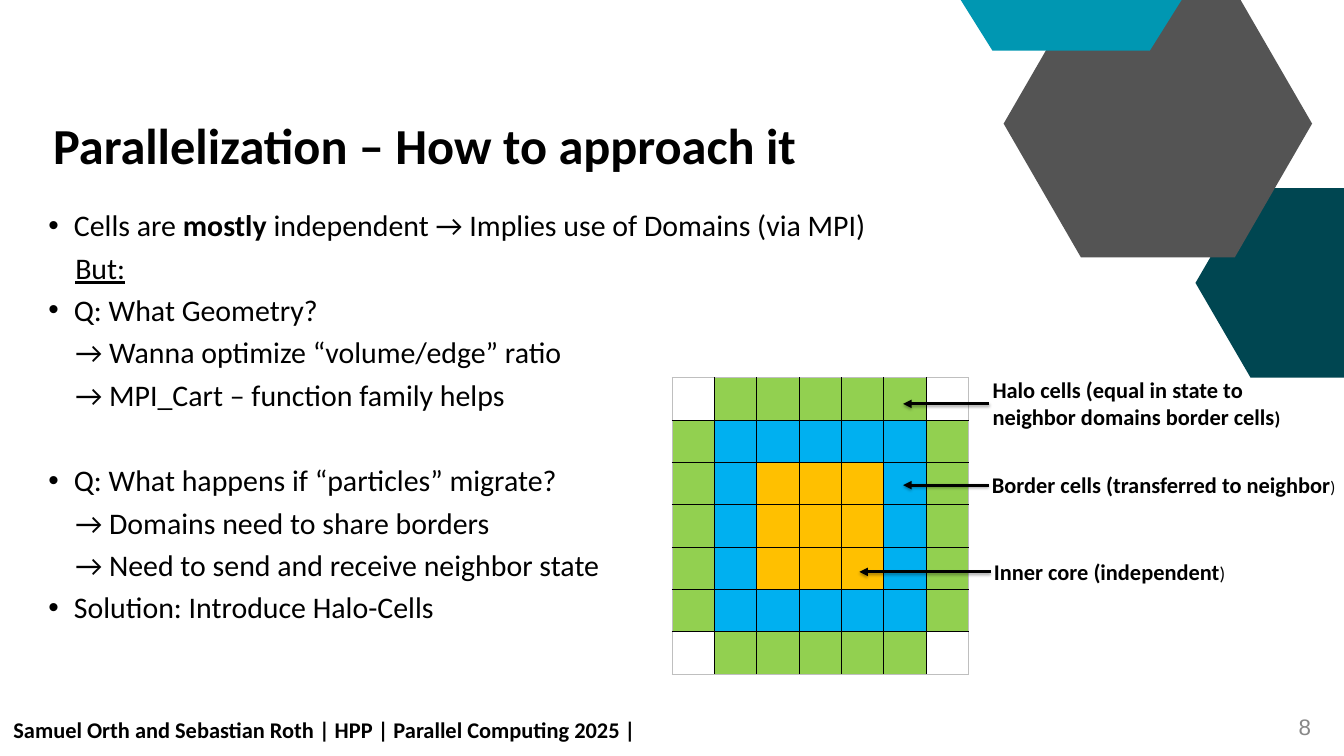
from dataclasses import dataclass, field
from typing import NamedTuple

from lxml.etree import SubElement
from pptx import Presentation
from pptx.dml.color import RGBColor
from pptx.enum.shapes import MSO_CONNECTOR
from pptx.enum.text import MSO_ANCHOR, PP_ALIGN
from pptx.oxml import parse_xml
from pptx.oxml.ns import nsdecls, qn
from pptx.util import Emu, Inches, Pt

WIDE, HIGH = Inches(20), Inches(11.25)
COLS, ROWS = 20, 11.25
SIDE, CELL = 7, 0.63
EDGE, HALO, RIM, CORE = "FFFFFF", "92D050", "00B0F0", "FFC000"
BLACK, PALE = "000000", "BFBFBF"


class Hex(NamedTuple):
    mid_x: float
    mid_y: float
    wide: float
    high: float
    inset: float
    tint: str


class Run(NamedTuple):
    text: str
    size: float = 32
    bold: bool = False
    under: bool = False
    tint: str = BLACK
    face: str = "Calibri"


@dataclass
class Para:
    runs: list[Run]
    bullet: bool = False
    style: dict = field(default_factory=dict)


class Box(NamedTuple):
    left: float
    top: float
    wide: float
    high: float
    paras: list[Para]
    wrap: bool = True
    pad: float = 0.05
    anchor: MSO_ANCHOR = MSO_ANCHOR.TOP


class Label(NamedTuple):
    box: Box
    start: float
    tip: float
    level: float


def col(n: float) -> Emu:
    return Emu(round(WIDE * n / COLS))


def row(n: float) -> Emu:
    return Emu(round(HIGH * n / ROWS))


def color(tint: str) -> RGBColor:
    return RGBColor.from_string(tint)


def apply(target: object, style: dict) -> None:
    for name, value in style.items():
        setattr(target, name, value)


def draw_hex(slide, item: Hex) -> None:
    x, y, half, rise = item.mid_x, item.mid_y, item.wide / 2, item.high / 2
    flat = half - item.inset
    points = [(x + half, y), (x + flat, y + rise), (x - flat, y + rise),
              (x - half, y), (x - flat, y - rise), (x + flat, y - rise)]
    points = [(col(a), row(b)) for a, b in points]
    pen = slide.shapes.build_freeform(*points[0])
    pen.add_line_segments(points[1:], close=True)
    shape = pen.convert_to_shape()
    shape.shadow.inherit = False
    shape.fill.solid()
    shape.fill.fore_color.rgb = color(item.tint)
    shape.line.fill.background()


def draw_para(target, para: Para) -> None:
    props = target._p.get_or_add_pPr()
    indent = Inches(0.38) if para.bullet else 0
    apply(target, para.style)
    if para.bullet:
        props.set("marL", str(indent))
        props.set("indent", str(-indent))
        SubElement(props, qn("a:buFont"), typeface="Arial")
        SubElement(props, qn("a:buChar"), char="•")
    elif para.style.get("space_before"):
        props.set("marL", str(Inches(0.4)))
    for item in para.runs:
        run = target.add_run()
        run.text = item.text
        apply(run.font, {"size": Pt(item.size), "bold": item.bold,
                         "underline": item.under, "name": item.face})
        run.font.color.rgb = color(item.tint)


def draw_box(slide, box: Box) -> None:
    frame = slide.shapes.add_textbox(
        col(box.left), row(box.top), col(box.wide), row(box.high)).text_frame
    sides = ("left", "top", "right", "bottom")
    apply(frame, {f"margin_{side}": Inches(box.pad) for side in sides})
    apply(frame, {"word_wrap": box.wrap, "vertical_anchor": box.anchor})
    for n, para in enumerate(box.paras):
        draw_para(frame.add_paragraph() if n else frame.paragraphs[0], para)


def draw_arrow(slide, label: Label) -> None:
    line = slide.shapes.add_connector(
        MSO_CONNECTOR.STRAIGHT, col(label.start), row(label.level),
        col(label.tip), row(label.level))
    line.line.width = Pt(3)
    line.line.color.rgb = color(BLACK)
    SubElement(line.line._get_or_add_ln(), qn("a:tailEnd"), type="triangle")
    line._element.spPr.append(parse_xml(
        f'<a:effectLst {nsdecls("a")}><a:outerShdw blurRad="{Pt(3)}" '
        f'dist="{Pt(1.8)}" dir="5400000" rotWithShape="0"><a:srgbClr val="{BLACK}">'
        '<a:alpha val="35000"/></a:srgbClr></a:outerShdw></a:effectLst>'))


def cell_tint(r: int, c: int) -> str:
    last = SIDE - 1
    if r in (0, last) and c in (0, last):
        return EDGE
    return (HALO, RIM, CORE, CORE)[min(r, c, last - r, last - c)]


def draw_cell(cell, r: int, c: int) -> None:
    props = cell._tc.get_or_add_tcPr()
    outer = {"L": c == 0, "R": c == SIDE - 1, "T": r == 0, "B": r == SIDE - 1}
    for side, rim in outer.items():
        tint = PALE if rim else BLACK
        props.append(parse_xml(
            f'<a:ln{side} {nsdecls("a")} w="{Pt(1)}"><a:solidFill>'
            f'<a:srgbClr val="{tint}"/></a:solidFill></a:ln{side}>'))
    cell.fill.solid()
    cell.fill.fore_color.rgb = color(cell_tint(r, c))


def draw_grid(slide) -> None:
    span = SIDE * CELL
    table = slide.shapes.add_table(
        SIDE, SIDE, col(10), row(5.62), col(span), row(span)).table
    apply(table, {"first_row": False, "horz_banding": False})
    for n in range(SIDE):
        table.columns[n].width = col(CELL)
        table.rows[n].height = row(CELL)
        for c in range(SIDE):
            draw_cell(table.cell(n, c), n, c)


def point(*runs: Run, gap: float = 7) -> Para:
    return Para(list(runs), True, {"space_before": Pt(gap)})


def note(text: str, under: bool = False) -> Para:
    return Para([Run(text, under=under)], style={"space_before": Pt(7)})


def strong(text: str, size: float = 24) -> Run:
    return Run(text, size, True)


HEXES = [Hex(19.42, 4.21, 3.26, 2.82, 0.82, "004651"),
         Hex(17.23, 1.84, 4.59, 3.98, 1.15, "545454"),
         Hex(15.94, -0.33, 3.7, 2.17, 0.68, "0097B2")]
BODY = [
    point(Run("Cells are "), strong("mostly", 32),
          Run(" independent → Implies use of Domains (via MPI)"), gap=0),
    note("But:", True),
    point(Run("Q: What Geometry?")),
    note("→ Wanna optimize “volume/edge” ratio"),
    note("→ MPI_Cart – function family helps"),
    point(Run("Q: What happens if “particles” migrate?"), gap=53),
    note("→ Domains need to share borders"),
    note("→ Need to send and receive neighbor state"),
    point(Run("Solution: Introduce Halo-Cells"))]
FOOT = strong("Samuel Orth and Sebastian Roth | HPP | Parallel Computing 2025 |")
BOXES = [
    Box(0.2, 10.58, 11.24, 0.46, [Para([FOOT], style={"line_spacing": Pt(34)})], pad=0),
    Box(0.74, 1.66, 13.98, 0.98, [Para([strong("Parallelization – How to approach it", 54)])],
        anchor=MSO_ANCHOR.MIDDLE),
    Box(0.67, 3.03, 14.61, 7.27, BODY),
    Box(19.11, 10.6, 0.45, 0.43,
        [Para([Run("8", 24, tint="888888", face="Arial")],
              style={"alignment": PP_ALIGN.RIGHT})], False, anchor=MSO_ANCHOR.MIDDLE)]
LABELS = [
    Label(Box(14.72, 5.55, 4.43, 0.91, [
        Para([strong("Halo cells (equal in state to")]),
        Para([strong("neighbor domains border cells"), strong(")", 20)])], False),
        14.72, 13.44, 6.01),
    Label(Box(14.71, 6.96, 5.29, 0.5, [
        Para([strong("Border cells (transferred to neighbor"), Run(")", 18)])], False),
        14.71, 13.44, 7.22),
    Label(Box(14.74, 8.25, 3.58, 0.5, [
        Para([strong("Inner core (independent"), Run(")", 20)])], False),
        14.74, 12.79, 8.51)]


def main() -> None:
    deck = Presentation()
    apply(deck, {"slide_width": WIDE, "slide_height": HIGH})
    slide = deck.slides.add_slide(deck.slide_layouts[6])
    for item in HEXES:
        draw_hex(slide, item)
    for box in BOXES:
        draw_box(slide, box)
    draw_grid(slide)
    for label in LABELS:
        draw_box(slide, label.box)
        draw_arrow(slide, label)
    deck.save("out.pptx")


if __name__ == "__main__":
    main()
